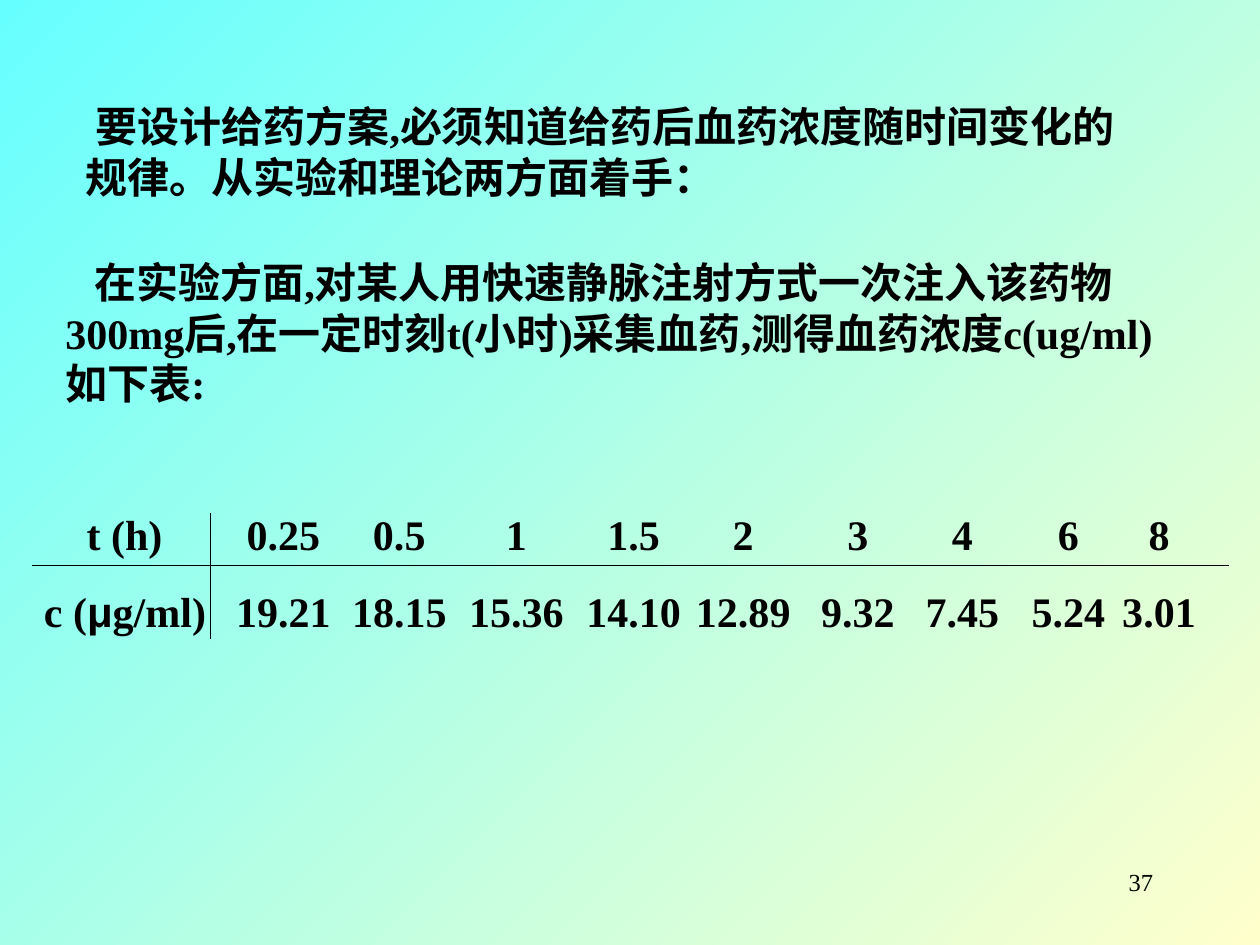
import pptx
import pptx.util
import pptx.dml.color
import pptx.enum.shapes
import pptx.enum.text
import pptx.oxml
import pptx.oxml.ns

Inches, Pt = pptx.util.Inches, pptx.util.Pt
GROW = pptx.enum.text.MSO_AUTO_SIZE.SHAPE_TO_FIT_TEXT
FIXED = pptx.enum.text.MSO_AUTO_SIZE.NONE
RIGHT = pptx.enum.text.PP_ALIGN.RIGHT


def rgb(value):
    return pptx.dml.color.RGBColor.from_string(value)


def apply(target, values):
    for name, value in values.items():
        setattr(target, name, value)


class SlideBuilder:
    ink = "000000"
    body = {"name": "Times New Roman", "size": Pt(24), "bold": True}
    spaced = {"space_before": Pt(15)}

    def __init__(self, prs):
        self.s = prs.slides.add_slide(prs.slide_layouts[6])

    def background(self, colors, angle):
        fill = self.s.background.fill
        fill.gradient()
        fill.gradient_angle = angle
        for stop, color in zip(fill.gradient_stops, colors):
            stop.color.rgb = rgb(color)

    def run(self, p, text, **font):
        r = p.add_run()
        r.text = text
        apply(r.font, {**self.body, **font})
        r.font.color.rgb = rgb(self.ink)

    def text_frame(self, box, auto_size=GROW):
        tf = self.s.shapes.add_textbox(*map(Inches, box)).text_frame
        apply(tf, {"word_wrap": True, "auto_size": auto_size})
        return tf

    def paragraph(self, box, text, indent):
        p = self.text_frame(box).paragraphs[0]
        apply(p, self.spaced)
        p._p.get_or_add_pPr().set("indent", str(Inches(indent)))
        self.run(p, text)

    def centred_tabs(self, p, positions):
        pPr = p._p.get_or_add_pPr()
        tabs = pptx.oxml.parse_xml(f"<a:tabLst {pptx.oxml.ns.nsdecls('a')}/>")
        for position in positions:
            tab = tabs.makeelement(pptx.oxml.ns.qn("a:tab"), {"pos": str(Inches(position)), "algn": "ctr"})
            tabs.append(tab)
        pPr.append(tabs)

    def data_rows(self, box, rows, columns):
        tf = self.text_frame(box)
        for i, (label, values) in enumerate(rows):
            p = tf.add_paragraph() if i else tf.paragraphs[0]
            apply(p, self.spaced)
            self.centred_tabs(p, columns)
            self.run(p, "\t")
            for text, font in label:
                self.run(p, text, name=font)
            self.run(p, "\t" + "\t".join(values))

    def line(self, x1, y1, x2, y2):
        kind = pptx.enum.shapes.MSO_CONNECTOR.STRAIGHT
        c = self.s.shapes.add_connector(kind, *map(Inches, (x1, y1, x2, y2)))
        c.line.color.rgb = rgb(self.ink)
        c.line.width = Pt(0.75)
        effects = pptx.oxml.parse_xml(f"<a:effectLst {pptx.oxml.ns.nsdecls('a')}/>")
        c._element.spPr.append(effects)

    def page_number(self, box, number):
        p = self.text_frame(box, FIXED).paragraphs[0]
        p.alignment = RIGHT
        self.run(p, number, size=Pt(14), bold=False)


def main():
    prs = pptx.Presentation()
    apply(prs, {"slide_width": Inches(10), "slide_height": Inches(7.5)})
    slide = SlideBuilder(prs)
    slide.background(("FFFFCC", "66FFFF"), 135)

    slide.paragraph(
        (0.42, 1.99, 8.92, 1.3),
        "在实验方面,对某人用快速静脉注射方式一次注入该药物300mg后,在一定时刻t(小时)采集血药,测得血药浓度c(ug/ml)如下表:",
        0.23,
    )

    serif, sans = "Times New Roman", "Arial"
    times = ["0.25", "0.5", "1", "1.5", "2", "3", "4", "6", "8"]
    levels = ["19.21", "18.15", "15.36", "14.10", "12.89", "9.32", "7.45", "5.24", "3.01"]
    rows = [
        ([("t (h)", serif)], times),
        ([("c (", serif), ("μ", sans), ("g/ml)", serif)], levels),
    ]
    columns = [0.64, 1.9, 2.82, 3.75, 4.68, 5.55, 6.46, 7.29, 8.13, 8.85]
    slide.data_rows((0.25, 3.99, 9.42, 1.11), rows, columns)
    slide.line(0.25, 4.49, 9.75, 4.49)
    slide.line(1.67, 4.07, 1.67, 5.07)

    slide.paragraph(
        (0.58, 0.75, 8.67, 0.9),
        "要设计给药方案,必须知道给药后血药浓度随时间变化的规律。从实验和理论两方面着手：",
        0.08,
    )
    slide.page_number((7.17, 6.83, 2.08, 0.5), "37")
    prs.save("out.pptx")


if __name__ == "__main__":
    main()
